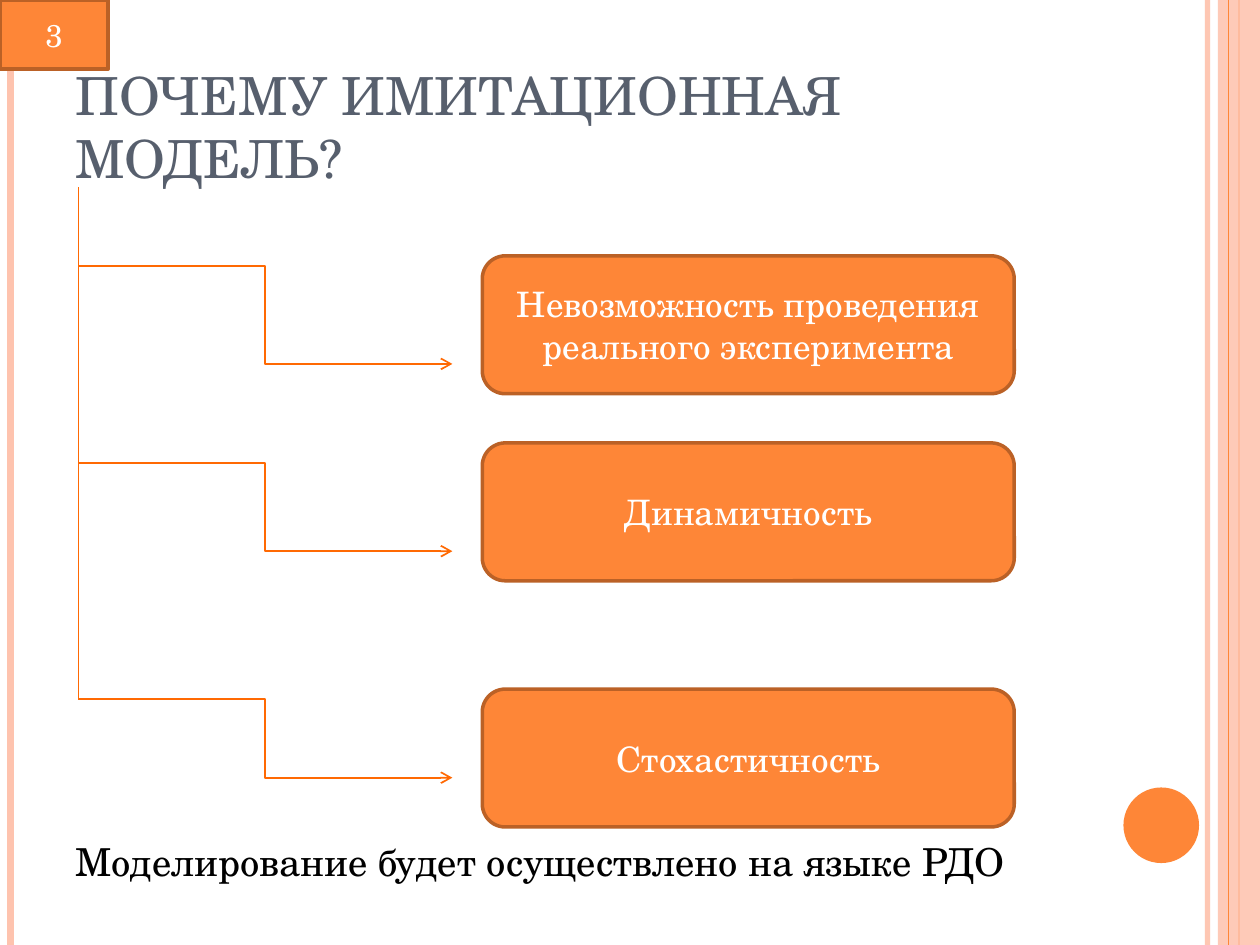
from lxml import etree
from pptx import Presentation
from pptx import util as u
from pptx.dml.color import RGBColor
from pptx.enum import shapes, text
from pptx.oxml.ns import qn

COLORS = {
    "orange": "FE8637",
    "peach": "FEC3AE",
    "border": "BB6126",
    "arrow": "FF6903",
    "heading": "575F6D",
    "white": "FFFFFF",
    "black": "000000",
}
FONT = "TeX Gyre Schola"


def rgb(name):
    return RGBColor.from_string(COLORS[name])


def set_opacity(properties, percent):
    """Apply opacity to the first solid colour found in the properties."""
    color = next(properties.iter(qn("a:srgbClr")))
    etree.SubElement(color, qn("a:alpha"), val=str(percent * 1000))


def write(shape, content, size=20, color="white",
          align=text.PP_ALIGN.CENTER, anchor=text.MSO_ANCHOR.MIDDLE):
    frame = shape.text_frame
    frame.word_wrap = True
    frame.vertical_anchor = anchor
    paragraph = frame.paragraphs[0]
    paragraph.alignment = align
    run = paragraph.add_run()
    run.text = content
    run.font.name = FONT
    run.font.size = u.Pt(size)
    run.font.color.rgb = rgb(color)


class SlideBuilder:
    """Draws elements on one slide; all lengths are in points."""

    def __init__(self, slide):
        self.shapes = slide.shapes

    def block(self, kind, left, top, width, height,
              fill="orange", border=None, opacity=None):
        block = self.shapes.add_shape(
            kind, u.Pt(left), u.Pt(top), u.Pt(width), u.Pt(height))
        block.shadow.inherit = False
        block.fill.solid()
        block.fill.fore_color.rgb = rgb(fill)
        if opacity:
            set_opacity(block.fill._xPr, opacity)
        if border:
            block.line.color.rgb = rgb(border)
            block.line.width = u.Pt(2)
        else:
            block.line.fill.background()
        return block

    def line(self, x1, y1, x2, y2, color="arrow", width=1,
             kind=shapes.MSO_CONNECTOR.STRAIGHT, arrow=False, opacity=None):
        line = self.shapes.add_connector(
            kind, u.Pt(x1), u.Pt(y1), u.Pt(x2), u.Pt(y2))
        line.line.color.rgb = rgb(color)
        line.line.width = u.Pt(width)
        outline = line.line._get_or_add_ln()
        if opacity:
            set_opacity(outline, opacity)
        if arrow:
            etree.SubElement(outline, qn("a:tailEnd"), type="arrow")
        etree.SubElement(line._element.spPr, qn("a:effectLst"))

    def label(self, left, top, width, height, content, **style):
        box = self.shapes.add_textbox(
            u.Pt(left), u.Pt(top), u.Pt(width), u.Pt(height))
        write(box, content, align=text.PP_ALIGN.LEFT, **style)


def draw_frame(builder):
    def stripe(x, color, width, opacity=None):
        builder.line(x, 0, x, 540, color, width, opacity=opacity)

    stripe(690, "peach", 3, opacity=93)
    stripe(6, "peach", 4.5)
    stripe(708, "orange", 1.5)
    builder.block(shapes.MSO_SHAPE.RECTANGLE, 696, 0, 24, 540,
                  fill="peach", opacity=87)
    stripe(702, "orange", 0.75)
    builder.block(shapes.MSO_SHAPE.OVAL, 642, 450, 43.2, 43.2)


def draw_reasons(builder):
    trunk_x, arrow_end_x = 44.8, 258.5
    # reason, top of its box, start and end height of its branch
    reasons = [
        ("Невозможность проведения реального эксперимента", 146.2, 152, 208),
        ("Динамичность", 253.1, 264.5, 315),
        ("Стохастичность", 393.8, 399.4, 444.4),
    ]
    for reason, top, branch_start, branch_end in reasons:
        box = builder.block(shapes.MSO_SHAPE.ROUNDED_RECTANGLE,
                            275.6, top, 304, 78.8, border="border")
        write(box, reason)
        builder.line(trunk_x, branch_start, arrow_end_x, branch_end,
                     kind=shapes.MSO_CONNECTOR.ELBOW, arrow=True)
    builder.line(trunk_x, 106.9, trunk_x, reasons[-1][2])


def main():
    deck = Presentation()
    deck.slide_width, deck.slide_height = u.Pt(720), u.Pt(540)
    builder = SlideBuilder(deck.slides.add_slide(deck.slide_layouts[6]))

    draw_frame(builder)
    builder.label(36, 21.6, 588, 90, "ПОЧЕМУ ИМИТАЦИОННАЯ МОДЕЛЬ?",
                  size=30, color="heading", anchor=text.MSO_ANCHOR.BOTTOM)
    draw_reasons(builder)
    page_number = builder.block(shapes.MSO_SHAPE.RECTANGLE,
                                0, 0, 61.9, 39.4, border="border")
    write(page_number, "3", size=18)
    builder.label(36, 474, 588, 36,
                  "Моделирование будет осуществлено на языке РДО",
                  size=22, color="black")
    deck.save("out.pptx")


if __name__ == "__main__":
    main()
